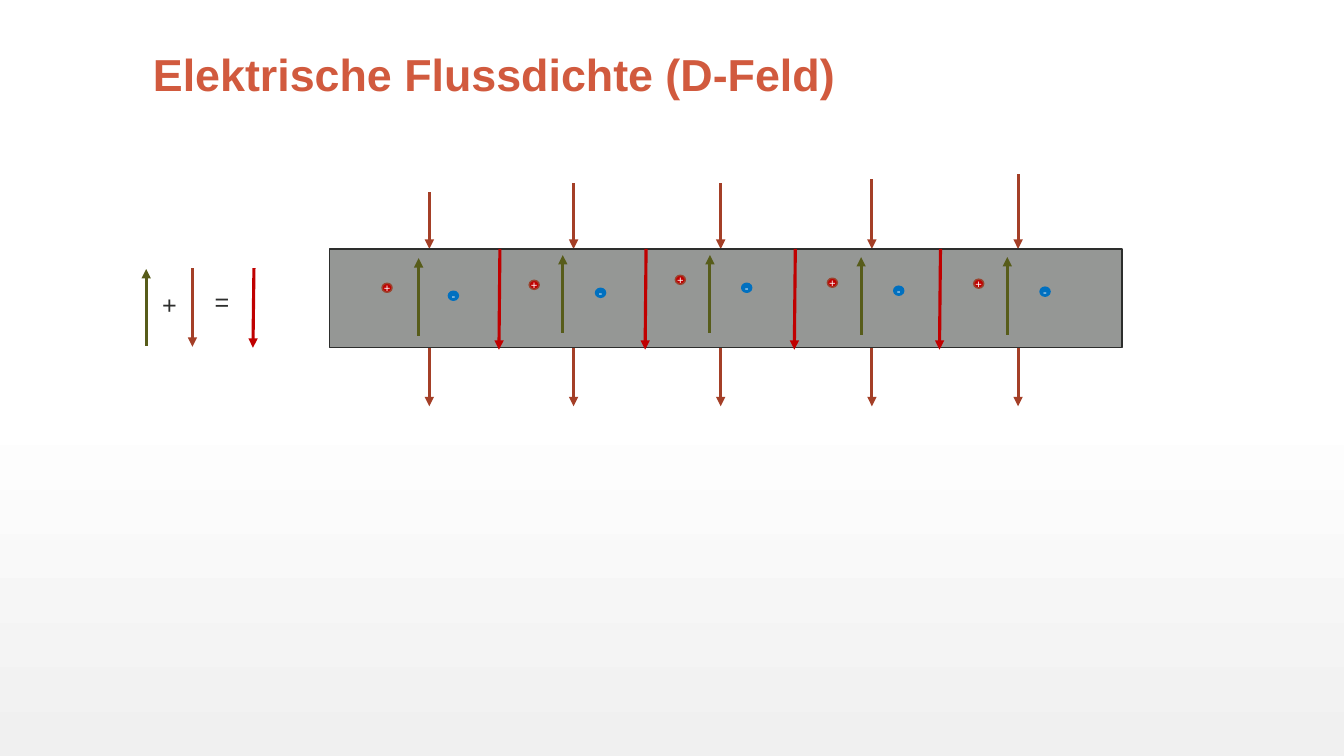
"""Build the slide on electric flux density in a dielectric."""
from typing import NamedTuple

from lxml.etree import SubElement
from pptx import Presentation
from pptx.dml.color import RGBColor
from pptx.enum.shapes import MSO_CONNECTOR as CONN, MSO_SHAPE as SHAPE
from pptx.enum.text import MSO_ANCHOR as ANCHOR, MSO_AUTO_SIZE as AUTO, PP_ALIGN as ALIGN
from pptx.oxml.ns import qn
from pptx.shapes.autoshape import Shape
from pptx.slide import Slide
from pptx.text.text import TextFrame
from pptx.util import Pt

FONT = "Arial"
WHITE = RGBColor(0xFF, 0xFF, 0xFF)
PALE = RGBColor(0xF0, 0xF0, 0xF0)
ORANGE = RGBColor(0xD1, 0x5A, 0x3E)
BROWN = RGBColor(0xA4, 0x3F, 0x27)
RUST = RGBColor(0x9B, 0x43, 0x2E)
OLIVE = RGBColor(0x57, 0x5C, 0x1A)
RED = RGBColor(0xC0, 0x00, 0x00)
BLUE = RGBColor(0x00, 0x70, 0xC0)
GREY = RGBColor(0x95, 0x97, 0x95)
DARK = RGBColor(0x2D, 0x2E, 0x2D)

SLAB_LEFT, SLAB_TOP, SLAB_W, SLAB_H = 235.4, 177.8, 566, 70.6
SLAB_BOTTOM = SLAB_TOP + SLAB_H
OUTFLOW = 41.8
DIPOLE_SHIFT, DIPOLE_LEN = -7.7, 55.4
CHARGE_W, CHARGE_H, CHARGE_DX, CHARGE_DY = 7.2, 6.5, 47.4, 5.7
TILT = -0.7


class Column(NamedTuple):
    """One field line with the dipole beside it."""
    x: float
    top: float
    dipole_bottom: float
    plus_left: float
    plus_top: float


class Arrow(NamedTuple):
    """An arrow from its start to its head."""
    x1: float
    y1: float
    x2: float
    y2: float
    color: RGBColor


class Label(NamedTuple):
    """A free text box."""
    text: str
    left: float
    top: float
    width: float
    height: float


COLUMNS = [
    Column(306.7, 137.5, 239.8, 272.9, 202.3),
    Column(409.7, 131, 237.6, 378, 200.2),
    Column(514.8, 131, 237.6, 482.4, 196.6),
    Column(622.8, 128.2, 239, 591, 198.7),
    Column(727.2, 124.6, 239, 695.5, 199.4),
]
TOTAL_FIELD_X = [357.1, 461.5, 568.1, 671.8]
LEGEND = [
    Arrow(104.4, 247, 104.4, 192.2, OLIVE),
    Arrow(137.5, 191.5, 137.5, 247.7, BROWN),
    Arrow(181.4, 191.5, 181.4 + TILT, 248.4, RED),
]
SIGNS = [Label("=", 146.2, 200.9, 25.2, 28.8), Label("+", 108.7, 203, 25.2, 28.8)]
TITLE = Label("Elektrische Flussdichte (D-Feld)", 102.2, 30.2, 756, 45.4)


def add_arrow(s: Slide, a: Arrow) -> None:
    """Draw a straight arrow."""
    c = s.shapes.add_connector(CONN.STRAIGHT, Pt(a.x1), Pt(a.y1), Pt(a.x2), Pt(a.y2))
    c.line.color.rgb = a.color
    c.line.width = Pt(2.25)
    SubElement(c.line._get_or_add_ln(), qn("a:tailEnd"), type="triangle")
    SubElement(c._element.spPr, qn("a:effectLst"))


def add_run(tf: TextFrame, text: str, size: float, color: RGBColor, bold: bool = False) -> None:
    """Add a run to the first paragraph."""
    r = tf.paragraphs[0].add_run()
    r.text = text
    r.font.name, r.font.size, r.font.bold = FONT, Pt(size), bold
    r.font.color.rgb = color


def add_shape(s: Slide, kind: SHAPE, left: float, top: float, width: float, height: float,
              fill: RGBColor, line: RGBColor) -> Shape:
    """Draw a flat filled shape with a thin outline."""
    sp = s.shapes.add_shape(kind, Pt(left), Pt(top), Pt(width), Pt(height))
    sp.shadow.inherit = False
    sp.fill.solid()
    sp.fill.fore_color.rgb = fill
    sp.line.color.rgb = line
    sp.line.width = Pt(1)
    return sp


def add_charge(s: Slide, sign: str, left: float, top: float, fill: RGBColor, line: RGBColor) -> None:
    """Draw a bound charge with its sign."""
    tf = add_shape(s, SHAPE.OVAL, left, top, CHARGE_W, CHARGE_H, fill, line).text_frame
    tf.margin_left = tf.margin_right = tf.margin_top = tf.margin_bottom = 0
    tf.word_wrap = False
    tf.vertical_anchor = ANCHOR.MIDDLE
    tf.paragraphs[0].alignment = ALIGN.CENTER
    add_run(tf, sign, 8, WHITE)


def add_label(s: Slide, label: Label) -> TextFrame:
    """Add an empty text box at the place of the label."""
    box = s.shapes.add_textbox(Pt(label.left), Pt(label.top), Pt(label.width), Pt(label.height))
    return box.text_frame


def add_background(s: Slide) -> None:
    """Fade the background from white to pale grey."""
    fill = s.background.fill
    fill.gradient()
    fill.gradient_angle = 270
    for stop, position, color in zip(fill.gradient_stops, (0.53, 1), (WHITE, PALE)):
        stop.position = position
        stop.color.rgb = color


def main() -> None:
    """Build and save the slide."""
    prs = Presentation()
    prs.slide_width, prs.slide_height = Pt(960), Pt(540)
    s = prs.slides.add_slide(prs.slide_layouts[6])
    add_background(s)

    tf = add_label(s, TITLE)
    tf.word_wrap = True
    tf.vertical_anchor = ANCHOR.BOTTOM
    tf.paragraphs[0].line_spacing = 0.9
    add_run(tf, TITLE.text, 32, ORANGE, bold=True)

    for c in COLUMNS:
        add_arrow(s, Arrow(c.x, c.top, c.x, SLAB_TOP, BROWN))
        add_arrow(s, Arrow(c.x, SLAB_BOTTOM, c.x, SLAB_BOTTOM + OUTFLOW, BROWN))
    add_shape(s, SHAPE.RECTANGLE, SLAB_LEFT, SLAB_TOP, SLAB_W, SLAB_H, GREY, DARK)

    for c in COLUMNS:
        add_charge(s, "-", c.plus_left + CHARGE_DX, c.plus_top + CHARGE_DY, BLUE, BLUE)
        add_charge(s, "+", c.plus_left, c.plus_top, RED, RUST)
        x = c.x + DIPOLE_SHIFT
        add_arrow(s, Arrow(x, c.dipole_bottom, x, c.dipole_bottom - DIPOLE_LEN, OLIVE))
    for a in LEGEND:
        add_arrow(s, a)
    for x in TOTAL_FIELD_X:
        add_arrow(s, Arrow(x, SLAB_TOP, x + TILT, SLAB_BOTTOM + 1.4, RED))

    for sign in SIGNS:
        tf = add_label(s, sign)
        tf.word_wrap = False
        tf.auto_size = AUTO.SHAPE_TO_FIT_TEXT
        add_run(tf, sign.text, 18, DARK)
    prs.save("out.pptx")


if __name__ == "__main__":
    main()
